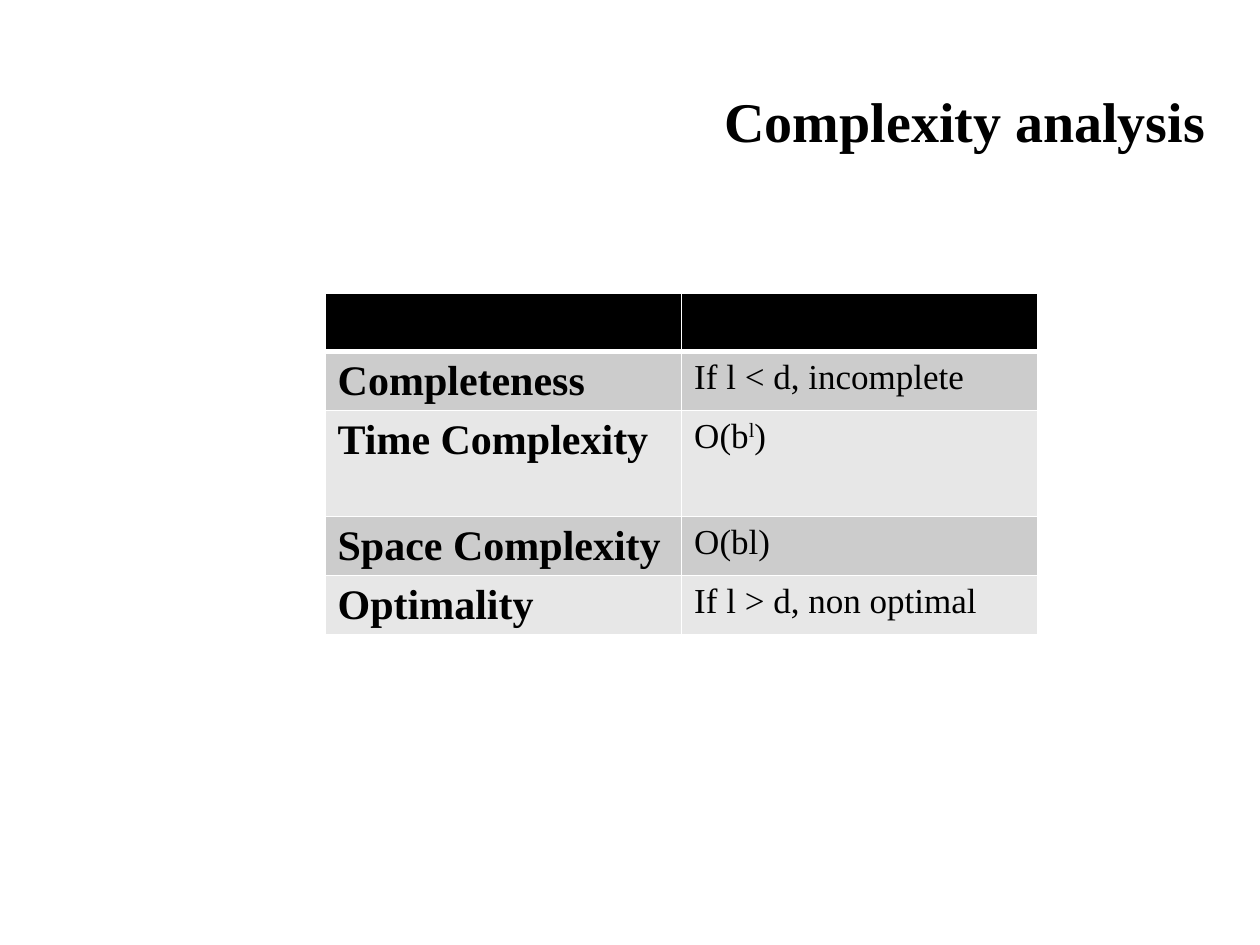
import pptx
import pptx.util
import pptx.dml.color
import pptx.enum.text
import pptx.oxml.ns
import lxml.etree

Inches, Pt = pptx.util.Inches, pptx.util.Pt

HEADING = "Complexity analysis"
MEASURES = [
    ("Completeness", [("If l < d, incomplete", 0)]),
    ("Time Complexity", [("O(b", 0), ("l", 30), (")", 0)]),
    ("Space Complexity", [("O(bl)", 0)]),
    ("Optimality", [("If l > d, non optimal", 0)]),
]
ROW_HEIGHTS = [0.46, 0.47, 0.84, 0.47, 0.47]
COLUMN_WIDTH = 2.83
FONT = "Times New Roman"
COLORS = {"text": "000000", "header": "000000", "odd": "CCCCCC",
          "even": "E7E7E7", "border": "FFFFFF"}


def rgb(name):
    return pptx.dml.color.RGBColor.from_string(COLORS[name])


def add_run(paragraph, text, size, bold, baseline=0):
    run = paragraph.add_run()
    run.text = text
    run.font.name = FONT
    run.font.size = Pt(size)
    run.font.bold = bold
    run.font.color.rgb = rgb("text")
    if baseline:
        run.font._element.set("baseline", str(baseline * 1000))


def set_borders(cell, widths):
    properties = cell._tc.get_or_add_tcPr()
    qn = pptx.oxml.ns.qn
    for position, (side, width) in enumerate(widths.items()):
        line = lxml.etree.Element(qn(f"a:ln{side}"), w=str(Pt(width)))
        fill = lxml.etree.SubElement(line, qn("a:solidFill"))
        lxml.etree.SubElement(fill, qn("a:srgbClr"), val=COLORS["border"])
        properties.insert(position, line)


def main():
    presentation = pptx.Presentation()
    presentation.slide_width, presentation.slide_height = Inches(10), Inches(7.5)
    slide = presentation.slides.add_slide(presentation.slide_layouts[5])

    title = slide.shapes.title
    title.left, title.top = Inches(1.17), Inches(0.33)
    title.width, title.height = Inches(8.5), Inches(1.25)
    title.text_frame.vertical_anchor = pptx.enum.text.MSO_ANCHOR.MIDDLE
    heading = title.text_frame.paragraphs[0]
    heading.alignment = pptx.enum.text.PP_ALIGN.RIGHT
    add_run(heading, HEADING, 32, True)

    analysis = slide.shapes.add_table(
        len(ROW_HEIGHTS), 2, Inches(2.58), Inches(2.33),
        Inches(2 * COLUMN_WIDTH), Inches(sum(ROW_HEIGHTS))).table
    for column in analysis.columns:
        column.width = Inches(COLUMN_WIDTH)

    for index, (row, height) in enumerate(zip(analysis.rows, ROW_HEIGHTS)):
        row.height = Inches(height)
        shade = "header" if index == 0 else "odd" if index % 2 else "even"
        for cell in row.cells:
            cell.fill.solid()
            cell.fill.fore_color.rgb = rgb(shade)
            set_borders(cell, {"L": 1, "R": 1, "T": 3 if index == 1 else 1,
                               "B": 3 if index == 0 else 1})

    for index, (measure, result) in enumerate(MEASURES, start=1):
        add_run(analysis.cell(index, 0).text_frame.paragraphs[0], measure, 24, True)
        for text, baseline in result:
            add_run(analysis.cell(index, 1).text_frame.paragraphs[0],
                    text, 20, False, baseline)

    presentation.save("out.pptx")


if __name__ == "__main__":
    main()
